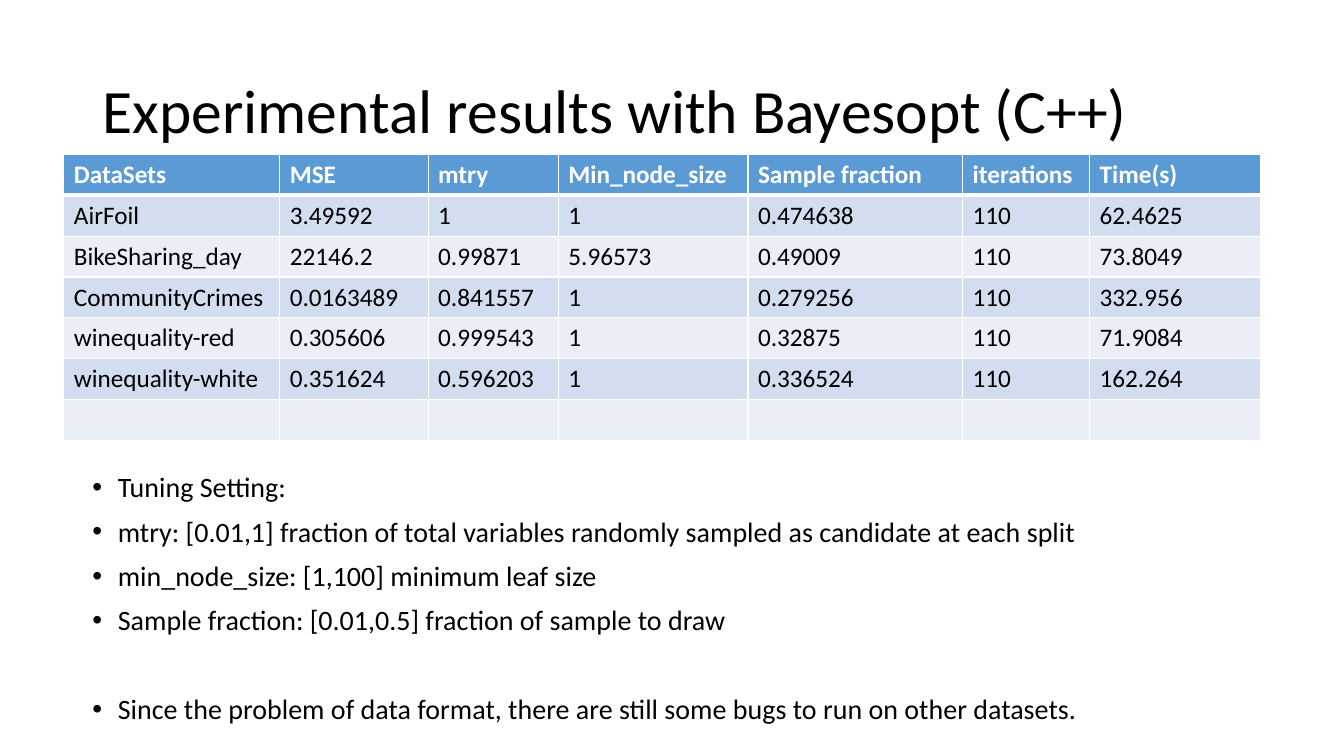
from pptx import Presentation
from pptx.dml.color import RGBColor as RGB
from pptx.enum.text import MSO_ANCHOR as Anchor, PP_ALIGN as Align
from pptx.oxml import parse_xml
from pptx.oxml.ns import nsdecls
from pptx.util import Cm, Pt

FONT = "Calibri"
BLACK = RGB(0x00, 0x00, 0x00)
WHITE = RGB(0xFF, 0xFF, 0xFF)
BLUE = RGB(0x5B, 0x9B, 0xD5)
BANDS = [RGB(0xEA, 0xEF, 0xF7), RGB(0xD2, 0xDE, 0xEF)]

ROWS = [
    ["DataSets", "MSE", "mtry", "Min_node_size", "Sample fraction", "iterations", "Time(s)"],
    ["AirFoil", "3.49592", "1", "1", "0.474638", "110", "62.4625"],
    ["BikeSharing_day", "22146.2", "0.99871", "5.96573", "0.49009", "110", "73.8049"],
    ["CommunityCrimes", "0.0163489", "0.841557", "1", "0.279256", "110", "332.956"],
    ["winequality-red", "0.305606", "0.999543", "1", "0.32875", "110", "71.9084"],
    ["winequality-white", "0.351624", "0.596203", "1", "0.336524", "110", "162.264"],
    [""] * 7,
]
WIDTHS = [5.44, 3.74, 3.28, 4.78, 5.41, 3.2, 4.32]
NOTES = [
    "Tuning Setting:",
    "mtry: [0.01,1] fraction of total variables randomly sampled as candidate at each split",
    "min_node_size: [1,100] minimum leaf size",
    "Sample fraction: [0.01,0.5] fraction of sample to draw",
    "Since the problem of data format, there are still some bugs to run on other datasets.",
]


def style(para, size, color, bold=False):
    """Set the font of every run in a paragraph."""
    for run in para.runs:
        font = run.font
        font.name, font.size, font.bold = FONT, Pt(size), bold
        font.color.rgb = color


def edge(cell, side, width):
    """Draw one white border of a cell, before its fill is set."""
    cell._tc.get_or_add_tcPr().append(parse_xml(
        f'<a:ln{side} {nsdecls("a")} w="{Pt(width)}"><a:solidFill>'
        f'<a:srgbClr val="{WHITE}"/></a:solidFill></a:ln{side}>'))


deck = Presentation()
deck.slide_width, deck.slide_height = Cm(33.87), Cm(19.05)
slide = deck.slides.add_slide(deck.slide_layouts[5])

# Title
title = slide.shapes.title
title.left, title.top, title.width, title.height = Cm(2.33), Cm(1.01), Cm(29.21), Cm(3.68)
frame = title.text_frame
frame.text = "Experimental results with Bayesopt (C++)"
frame.vertical_anchor = Anchor.MIDDLE
head = frame.paragraphs[0]
head.alignment, head.line_spacing = Align.LEFT, 0.9
style(head, 44, BLACK)

# Results table
high = 1.03
grid = slide.shapes.add_table(len(ROWS), len(WIDTHS), Cm(1.61), Cm(3.89),
                              Cm(sum(WIDTHS)), Cm(high * len(ROWS))).table
for col, width in zip(grid.columns, WIDTHS):
    col.width = Cm(width)
for r, row in enumerate(ROWS):
    grid.rows[r].height = Cm(high)
    top = r == 0
    for c, text in enumerate(row):
        cell = grid.cell(r, c)
        cell.text = text
        style(cell.text_frame.paragraphs[0], 18, WHITE if top else BLACK, top)
        for side in "LRTB":
            heavy = (top and side == "B") or (r == 1 and side == "T")
            edge(cell, side, 3 if heavy else 1)
        cell.fill.solid()
        cell.fill.fore_color.rgb = BLUE if top else BANDS[r % 2]

# Tuning notes
box = slide.shapes.add_textbox(Cm(2.08), Cm(11.81), Cm(29.21), Cm(6.96))
frame = box.text_frame
frame.word_wrap = True
frame.text = "\n".join(NOTES)
for para in frame.paragraphs:
    para.line_spacing, para.space_before = 0.9, Pt(10)
    style(para, 20, BLACK)
    props = para._p.get_or_add_pPr()
    props.set("marL", str(Cm(0.64)))
    props.set("indent", str(Cm(-0.64)))
    props.append(parse_xml(f'<a:buFont {nsdecls("a")} typeface="Arial"/>'))
    props.append(parse_xml(f'<a:buChar {nsdecls("a")} char="•"/>'))
frame.paragraphs[-1].space_before = Pt(42)

deck.save("out.pptx")
